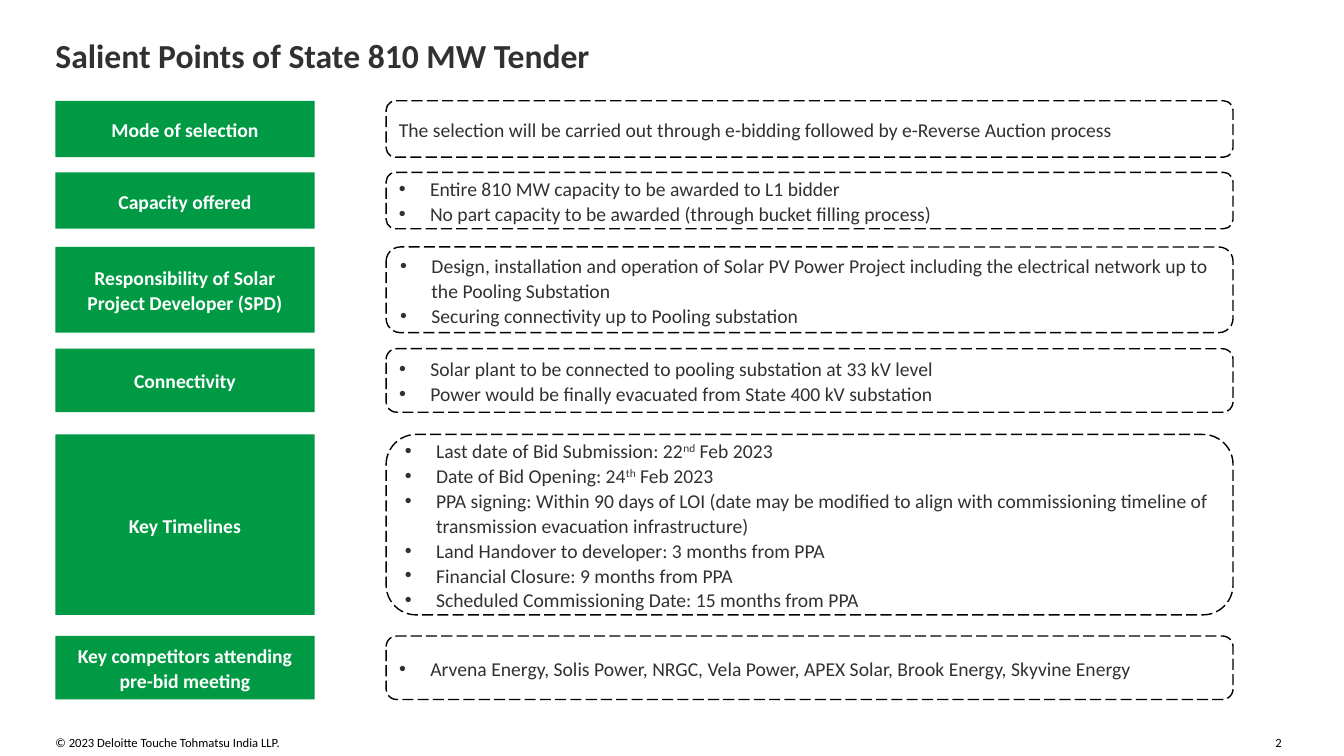
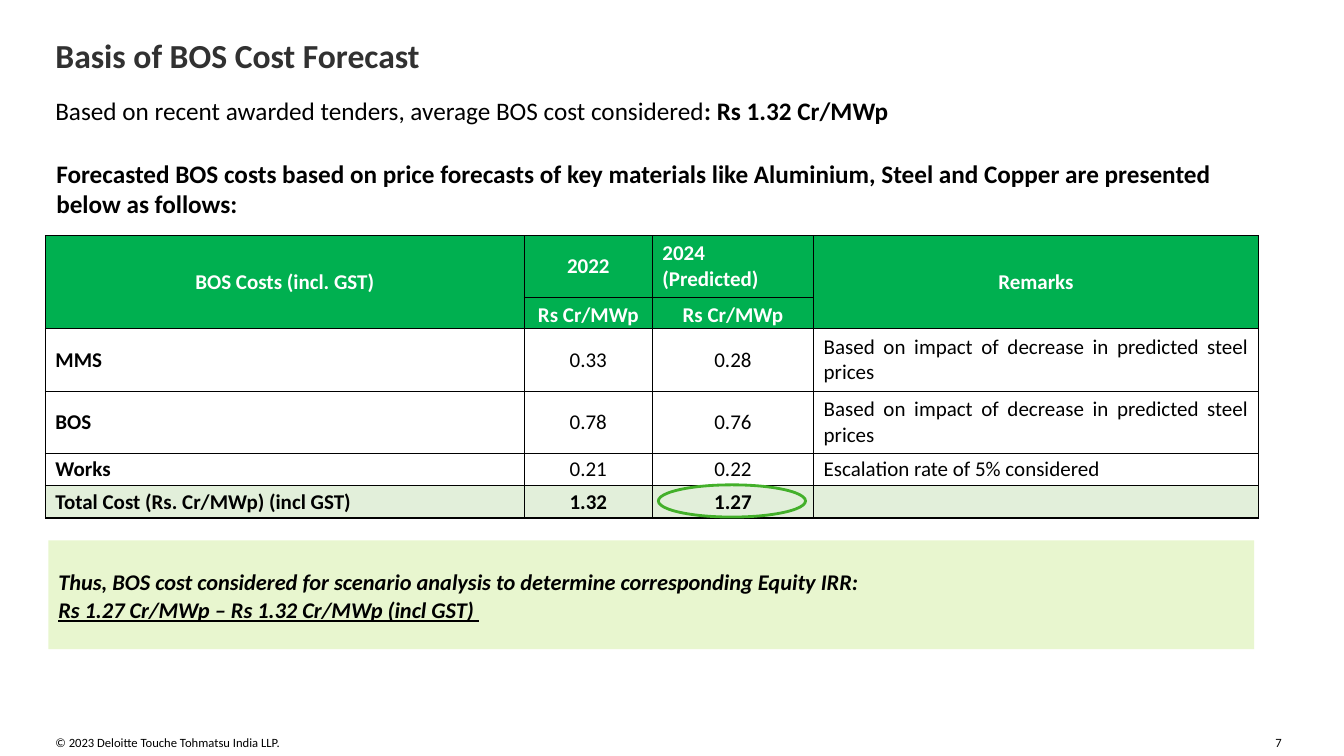
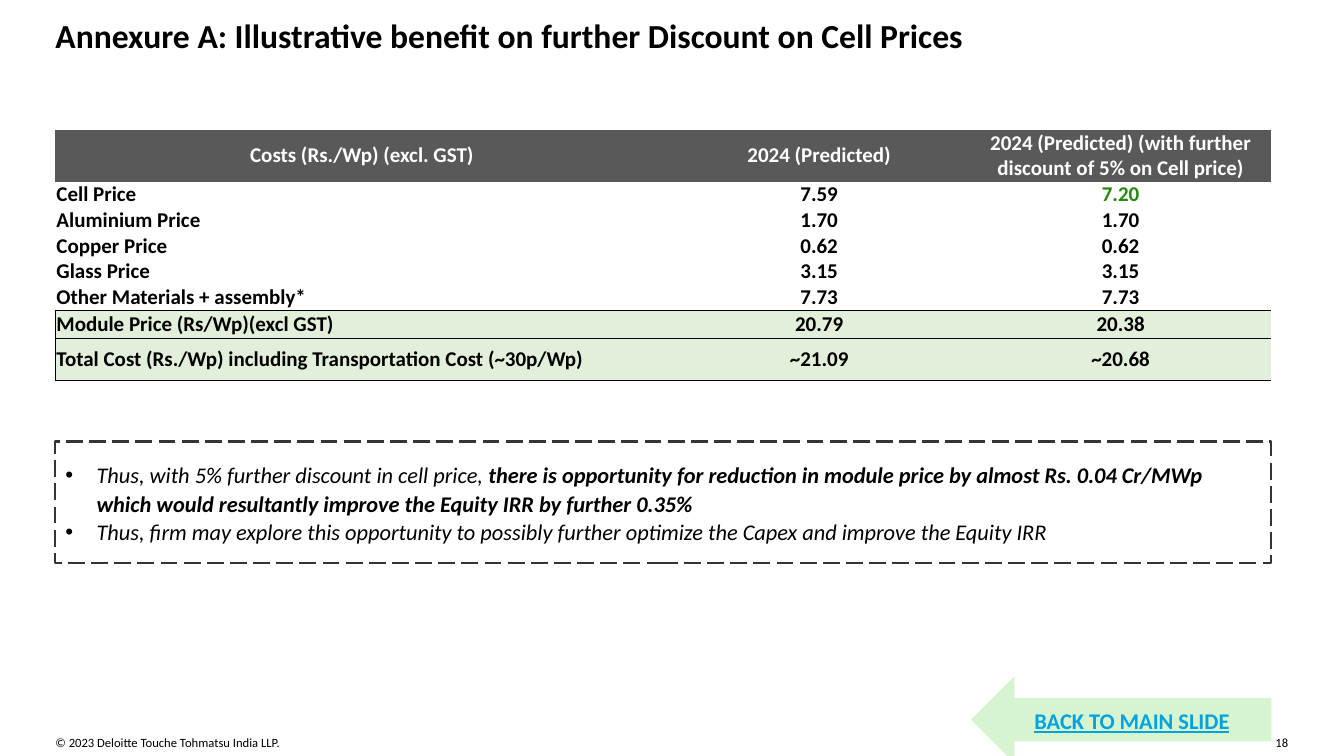
from lxml import etree
from pptx import Presentation
from pptx.dml.color import RGBColor
from pptx.enum.dml import MSO_LINE
from pptx.enum.shapes import MSO_SHAPE
from pptx.enum.text import MSO_ANCHOR, MSO_AUTO_SIZE, PP_ALIGN
from pptx.oxml.ns import qn
from pptx.util import Inches, Pt

LEFT, CENTER, JUSTIFY = PP_ALIGN.LEFT, PP_ALIGN.CENTER, PP_ALIGN.JUSTIFY
TOP, MIDDLE, BOTTOM = MSO_ANCHOR.TOP, MSO_ANCHOR.MIDDLE, MSO_ANCHOR.BOTTOM
RECTANGLE, ROUNDED = MSO_SHAPE.RECTANGLE, MSO_SHAPE.ROUNDED_RECTANGLE
OVAL, LEFT_ARROW = MSO_SHAPE.OVAL, MSO_SHAPE.LEFT_ARROW
LONG_DASH = MSO_LINE.LONG_DASH
NO_FIT = MSO_AUTO_SIZE.NONE

BLACK = RGBColor(0x00, 0x00, 0x00)
WHITE = RGBColor(0xFF, 0xFF, 0xFF)
INK = RGBColor(0x31, 0x31, 0x31)
FRAME = RGBColor(0x35, 0x35, 0x33)
LABEL_GREEN = RGBColor(0x00, 0x9A, 0x44)
HEADER_GREEN = RGBColor(0x00, 0xB0, 0x50)
HEADER_GREY = RGBColor(0x59, 0x59, 0x59)
TOTAL_GREEN = RGBColor(0xE2, 0xEF, 0xDA)
NOTE_GREEN = RGBColor(0xE8, 0xF6, 0xCF)
RING_GREEN = RGBColor(0x43, 0xB0, 0x2A)
PRICE_GREEN = RGBColor(0x26, 0x89, 0x0D)
ARROW_GREEN = RGBColor(0xD7, 0xF4, 0xD0)
LINK_BLUE = RGBColor(0x00, 0xA3, 0xE0)

FONT = "Calibri"
WIDTH, HEIGHT = 13.33, 7.5
MARGIN = 0.55
COPYRIGHT = "© 2023 Deloitte Touche Tohmatsu India LLP."
PLAIN_TABLE = "{2D5ABB26-0587-4C30-8999-92F81FD0307C}"
LINE_SPACING = 1.06
BULLET_INDENT = 0.31

BOLD = {"bold": True}
RAISED = {"raised": True}

TENDER_TITLE = "Salient Points of State 810 MW Tender"
LABEL_WIDTH = 2.57
DETAIL_LEFT, DETAIL_WIDTH = 3.83, 8.4
TENDER_POINTS = [
    (1.0, 0.56, "Mode of selection", False, [
        "The selection will be carried out through e-bidding followed by e-Reverse Auction process"]),
    (1.71, 0.56, "Capacity offered", True, [
        "Entire 810 MW capacity to be awarded to L1 bidder",
        "No part capacity to be awarded (through bucket filling process)"]),
    (2.45, 0.85, "Responsibility of Solar Project Developer (SPD)", True, [
        "Design, installation and operation of Solar PV Power Project including the electrical "
        "network up to the Pooling Substation",
        "Securing connectivity up to Pooling substation"]),
    (3.46, 0.63, "Connectivity", True, [
        "Solar plant to be connected to pooling substation at 33 kV level",
        "Power would be finally evacuated from State 400 kV substation"]),
    (4.31, 1.79, "Key Timelines", True, [
        [("Last date of Bid Submission: 22", {}), ("nd", RAISED), (" Feb 2023", {})],
        [("Date of Bid Opening: 24", {}), ("th", RAISED), (" Feb 2023", {})],
        "PPA signing: Within 90 days of LOI (date may be modified to align with commissioning "
        "timeline of transmission evacuation infrastructure)",
        "Land Handover to developer: 3 months from PPA",
        "Financial Closure: 9 months from PPA",
        "Scheduled Commissioning Date: 15 months from PPA"]),
    (6.31, 0.63, "Key competitors attending pre-bid meeting", True, [
        "Arvena Energy, Solis Power, NRGC, Vela Power, APEX Solar, Brook Energy, Skyvine Energy"]),
]

BOS_TITLE = "Basis of BOS Cost Forecast"
BOS_BASIS = [("Based on recent awarded tenders, average BOS cost considered", {}),
             (": Rs 1.32 Cr/MWp", BOLD)]
BOS_INTRO = ("Forecasted BOS costs based on price forecasts of key materials like Aluminium, "
             "Steel and Copper are presented below as follows:")
STEEL_REMARK = "Based on impact of decrease in predicted steel prices"
BOS_LEFT, BOS_TOP = 0.45, 2.34
BOS_COLUMNS = [4.75, 1.27, 1.6, 4.41]
BOS_ROWS = [0.6, 0.31, 0.62, 0.62, 0.32, 0.32]
BOS_CELLS = [
    ["BOS Costs (incl. GST)", "2022", "2024 (Predicted)", "Remarks"],
    ["", "Rs Cr/MWp", "Rs Cr/MWp", ""],
    ["MMS", "0.33", "0.28", STEEL_REMARK],
    ["BOS", "0.78", "0.76", STEEL_REMARK],
    ["Works", "0.21", "0.22", "Escalation rate of 5% considered"],
    ["Total Cost (Rs. Cr/MWp) (incl GST)", "1.32", "1.27", ""],
]
BOS_CONCLUSION = [
    "Thus, BOS cost considered for scenario analysis to determine corresponding Equity IRR:",
    [("Rs 1.27 Cr/MWp – Rs 1.32 Cr/MWp (incl GST) ", {"underline": True})],
]

CELL_TITLE = "Annexure A: Illustrative benefit on further Discount on Cell Prices"
CELL_TOP = 1.29
CELL_COLUMNS = [6.08, 2.99, 2.99]
CELL_ROWS = [0.5] + [0.25] * 5 + [0.28, 0.42]
CELL_CELLS = [
    ["Costs (Rs./Wp) (excl. GST)", "2024 (Predicted)",
     "2024 (Predicted) (with further discount of 5% on Cell price)"],
    ["Cell Price", "7.59", "7.20"],
    ["Aluminium Price", "1.70", "1.70"],
    ["Copper Price", "0.62", "0.62"],
    ["Glass Price", "3.15", "3.15"],
    ["Other Materials + assembly*", "7.73", "7.73"],
    ["Module Price (Rs/Wp)(excl GST)", "20.79", "20.38"],
    ["Total Cost (Rs./Wp) including Transportation Cost (~30p/Wp)", "~21.09", "~20.68"],
]
CELL_CONCLUSION = [
    [("Thus, with 5% further discount in cell price, ", {}),
     ("there is opportunity for reduction in module price by almost Rs. 0.04 Cr/MWp which would "
      "resultantly improve the Equity IRR by further 0.35%", BOLD)],
    "Thus, firm may explore this opportunity to possibly further optimize the Capex and improve "
    "the Equity IRR",
]


def inches(*values):
    return [Inches(value) for value in values]


def add_bullet(paragraph):
    properties = paragraph._p.get_or_add_pPr()
    properties.set("marL", str(Inches(BULLET_INDENT)))
    properties.set("indent", str(-Inches(BULLET_INDENT)))
    font = etree.SubElement(properties, qn("a:buFont"))
    font.set("typeface", "Arial")
    etree.SubElement(properties, qn("a:buChar")).set("char", "•")


def write(frame, paragraphs, size, color, align=LEFT, bullets=False, spacing=None, **styles):
    for index, content in enumerate(paragraphs):
        paragraph = frame.paragraphs[0] if index == 0 else frame.add_paragraph()
        paragraph.alignment = align
        if spacing:
            paragraph.line_spacing = spacing
        if bullets:
            add_bullet(paragraph)
        runs = [(content, {})] if isinstance(content, str) else content
        for text, changes in runs:
            run = paragraph.add_run()
            run.text = text
            values = {"name": FONT, "size": Pt(size), **styles, **changes}
            if values.pop("raised", False):
                run._r.get_or_add_rPr().set("baseline", "30000")
            for name, value in values.items():
                setattr(run.font, name, value)
            run.font.color.rgb = color


def set_frame(frame, margins, anchor, wrap=True):
    values = dict(zip(("margin_left", "margin_top", "margin_right", "margin_bottom"),
                      inches(*margins)))
    values.update(vertical_anchor=anchor, word_wrap=wrap, auto_size=NO_FIT)
    for name, value in values.items():
        setattr(frame, name, value)


def add_text(slide, box, paragraphs, margins=(0.1, 0.05, 0.1, 0.05), wrap=True, **style):
    frame = slide.shapes.add_textbox(*inches(*box)).text_frame
    set_frame(frame, margins, TOP, wrap)
    write(frame, paragraphs, **style)


def add_box(slide, kind, box, fill=None, line=None, paragraphs=(), **style):
    shape = slide.shapes.add_shape(kind, *inches(*box))
    shape.shadow.inherit = False
    if fill is None:
        shape.fill.background()
    else:
        shape.fill.solid()
        shape.fill.fore_color.rgb = fill
    if line is None:
        shape.line.fill.background()
    else:
        color, width, dash = line
        shape.line.color.rgb = color
        shape.line.width = Pt(width)
        if dash:
            shape.line.dash_style = dash
    if paragraphs:
        set_frame(shape.text_frame, (0.1,) * 4, MIDDLE)
        write(shape.text_frame, paragraphs, spacing=LINE_SPACING, **style)


def add_borders(cell, sides):
    properties = cell._tc.get_or_add_tcPr()
    for side in "LRTB":
        if side in sides:
            line = etree.SubElement(properties, qn("a:ln" + side))
            line.set("w", str(Pt(1)))
            fill = etree.SubElement(line, qn("a:solidFill"))
            etree.SubElement(fill, qn("a:srgbClr")).set("val", str(BLACK))


def add_table(slide, left, top, columns, rows, cells, cell_format):
    table = slide.shapes.add_table(
        len(rows), len(columns), *inches(left, top, sum(columns), sum(rows))).table
    table._tbl.tblPr.find(qn("a:tableStyleId")).text = PLAIN_TABLE
    table.first_row = table.horz_banding = False
    for column, width in zip(table.columns, columns):
        column.width = Inches(width)
    for row, height in zip(table.rows, rows):
        row.height = Inches(height)
    for row_index, texts in enumerate(cells):
        for column_index, text in enumerate(texts):
            cell = table.cell(row_index, column_index)
            values = cell_format(row_index, column_index)
            add_borders(cell, values["borders"])
            if values["fill"] is None:
                cell.fill.background()
            else:
                cell.fill.solid()
                cell.fill.fore_color.rgb = values["fill"]
            side, end = values["margins"]
            cell.margin_left = cell.margin_right = Inches(side)
            cell.margin_top = cell.margin_bottom = Inches(end)
            cell.vertical_anchor = values.get("anchor", MIDDLE)
            if text:
                write(cell.text_frame, [text], 15, values["color"],
                      values["align"], bold=values["bold"])
    return table


def bos_format(row, column):
    header, total = row < 2, row == len(BOS_ROWS) - 1
    left_header = (row, column) == (0, 2)
    body_align = (LEFT, CENTER, CENTER, JUSTIFY)[column]
    number = not header and not total and column in (1, 2)
    return {
        "borders": "LRTB",
        "fill": HEADER_GREEN if header else TOTAL_GREEN if total else None,
        "margins": (0.1, 0.05) if left_header else (0 if number else 0.1, 0),
        "anchor": BOTTOM if row == 1 else MIDDLE,
        "color": WHITE if header else BLACK,
        "align": LEFT if left_header else CENTER if header else body_align,
        "bold": header or total or column == 0,
    }


def cell_format(row, column):
    header, total = row == 0, row >= len(CELL_ROWS) - 2
    last_price = row == len(CELL_ROWS) - 3
    discounted = (row, column) == (1, 2)
    total_borders = "LTB" if column == 0 else "TB"
    return {
        "borders": total_borders if total else "B" if last_price else "",
        "fill": HEADER_GREY if header else TOTAL_GREEN if total else None,
        "margins": (0.01, 0),
        "color": WHITE if header else PRICE_GREEN if discounted else BLACK,
        "align": LEFT if column == 0 and not header else CENTER,
        "bold": True,
    }


def add_slide(presentation, title, number, color=INK, top=0.35):
    slide = presentation.slides.add_slide(presentation.slide_layouts[5])
    footer = {"margins": (0,) * 4, "size": 9, "color": BLACK}
    add_text(slide, (MARGIN, 7.29, 5.86, 0.15), [COPYRIGHT], **footer)
    add_text(slide, (12.65, 7.29, 0.15, 0.15), [number], wrap=False, **footer)
    placeholder = slide.shapes.title
    box = inches(MARGIN, top, 12.24, 0.37)
    for name, value in zip(("left", "top", "width", "height"), box):
        setattr(placeholder, name, value)
    set_frame(placeholder.text_frame, (0,) * 4, TOP)
    write(placeholder.text_frame, [title], 24, color, bold=True)
    return slide


def build_tender(presentation):
    slide = add_slide(presentation, TENDER_TITLE, "2")
    for top, height, label, bullets, details in TENDER_POINTS:
        add_box(slide, RECTANGLE, (MARGIN, top, LABEL_WIDTH, height), fill=LABEL_GREEN,
                paragraphs=[label], size=14, color=WHITE, align=CENTER, bold=True)
        add_box(slide, ROUNDED, (DETAIL_LEFT, top, DETAIL_WIDTH, height),
                line=(BLACK, 1, LONG_DASH), paragraphs=details, size=14, color=INK,
                bullets=bullets)


def build_bos(presentation):
    slide = add_slide(presentation, BOS_TITLE, "7")
    add_text(slide, (BOS_LEFT, 0.9, 10.92, 0.4), [BOS_BASIS], size=18, color=BLACK)
    table = add_table(slide, BOS_LEFT, BOS_TOP, BOS_COLUMNS, BOS_ROWS, BOS_CELLS, bos_format)
    for column in (0, 3):
        table.cell(0, column).merge(table.cell(1, column))
    add_box(slide, RECTANGLE, (0.48, 5.36, 11.96, 1.08), fill=NOTE_GREEN,
            paragraphs=BOS_CONCLUSION, size=16, color=BLACK, bold=True, italic=True)
    add_text(slide, (0.46, 1.52, 12.12, 0.71), [BOS_INTRO], size=18, color=BLACK, bold=True)
    ring_left = BOS_LEFT + sum(BOS_COLUMNS[:2]) + 0.06
    ring_top = BOS_TOP + sum(BOS_ROWS[:-1])
    add_box(slide, OVAL, (ring_left, ring_top, 1.46, BOS_ROWS[-1]), line=(RING_GREEN, 2, None))


def build_cell(presentation):
    slide = add_slide(presentation, CELL_TITLE, "18", BLACK, 0.15)
    add_box(slide, LEFT_ARROW, (9.63, 6.71, 2.98, 0.86), fill=ARROW_GREEN,
            paragraphs=["BACK TO MAIN SLIDE"], size=16, color=LINK_BLUE, align=CENTER,
            bold=True, underline=True)
    add_table(slide, MARGIN, CELL_TOP, CELL_COLUMNS, CELL_ROWS, CELL_CELLS, cell_format)
    add_box(slide, RECTANGLE, (MARGIN, 4.38, sum(CELL_COLUMNS), 1.21),
            line=(FRAME, 1.5, LONG_DASH), paragraphs=CELL_CONCLUSION, size=16, color=BLACK,
            bullets=True, italic=True)


def main():
    presentation = Presentation()
    presentation.slide_width, presentation.slide_height = inches(WIDTH, HEIGHT)
    for build in (build_tender, build_bos, build_cell):
        build(presentation)
    presentation.save("out.pptx")


if __name__ == "__main__":
    main()
